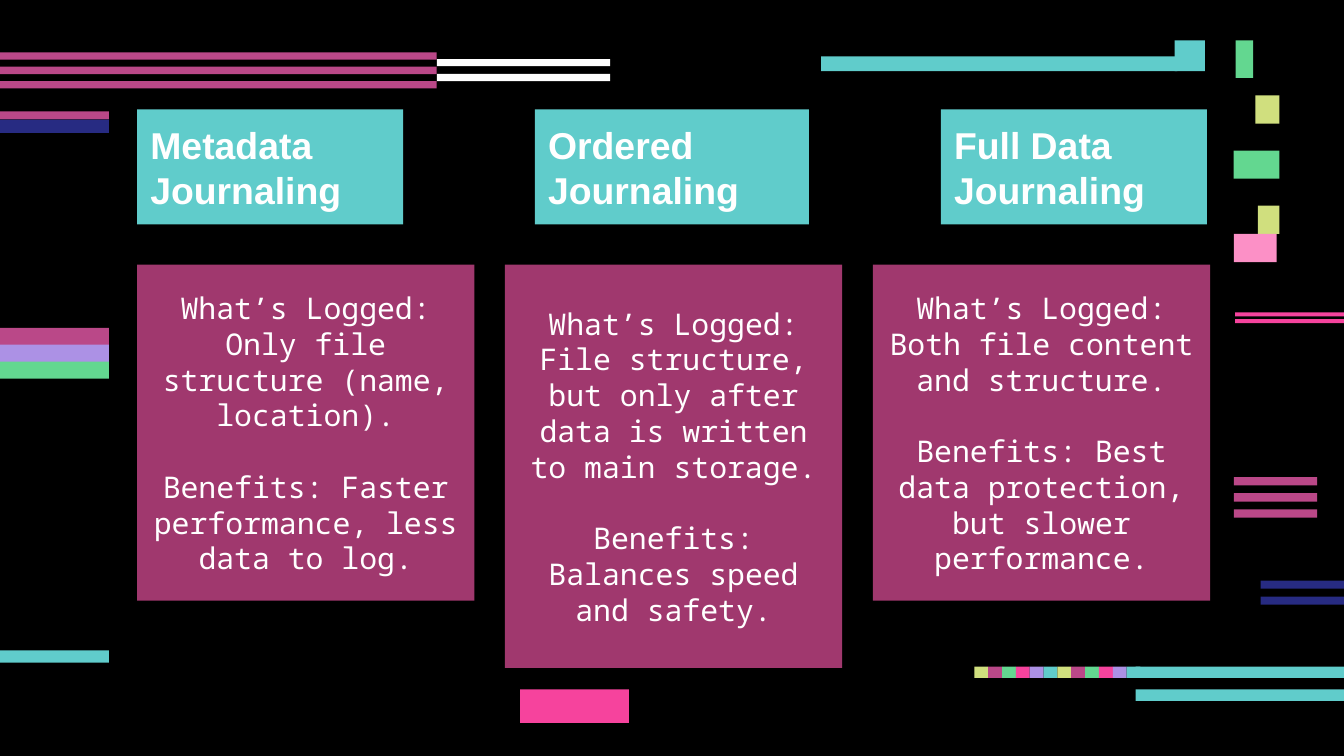
"""Build a slide comparing three journaling modes, framed by coloured bars."""
from dataclasses import dataclass
from typing import Any, NamedTuple

from pptx import Presentation, util as u
from pptx.dml import color
from pptx.enum import shapes, text

COLUMNS, ROWS = 100, 56.25
CELL = u.Inches(0.1)


@dataclass(frozen=True)
class Theme:
    black: str = "000000"
    white: str = "FFFFFF"
    teal: str = "60CCCB"
    plum: str = "BA4888"
    wine: str = "A0386E"
    pink: str = "F6439D"
    rose: str = "FC90C6"
    green: str = "63D790"
    lilac: str = "AC91E5"
    lime: str = "D0DF7E"
    navy: str = "272B82"
    heading_font: str = "Arial"
    body_font: str = "Noto Sans Mono"
    heading_size: int = 20
    body_size: int = 16
    body_gap: int = 19


THEME = Theme()


class Area(NamedTuple):
    column: float
    row: float
    width: float
    height: float


class Bars(NamedTuple):
    area: Area
    colours: tuple[str, ...]
    across: float = 0
    down: float = 0


class Mode(NamedTuple):
    heading: str
    heading_column: float
    heading_width: float
    logged: str
    benefits: str
    body_height: float


class Style(NamedTuple):
    fill: str
    font: dict[str, Any]
    frame: dict[str, Any]
    paragraph: dict[str, Any]


BARS = (
    Bars(Area(0, 3.9, 32.5, 0.55), (THEME.plum,) * 3, down=1.07),
    Bars(Area(32.5, 4.4, 12.9, 0.53), (THEME.white,) * 2, down=1.1),
    Bars(Area(0, 8.3, 8.1, 0.6), (THEME.plum,)),
    Bars(Area(0, 8.9, 8.1, 1), (THEME.navy,)),
    Bars(Area(0, 24.4, 8.1, 1.27), (THEME.plum, THEME.lilac, THEME.green), down=1.25),
    Bars(Area(0, 48.4, 8.1, 0.9), (THEME.teal,)),
    Bars(Area(38.7, 51.3, 8.1, 2.5), (THEME.pink,)),
    Bars(Area(61.1, 4.2, 26.5, 1.1), (THEME.teal,)),
    Bars(Area(87.4, 3, 2.25, 2.3), (THEME.teal,)),
    Bars(Area(91.95, 3, 1.3, 2.8), (THEME.green,)),
    Bars(Area(93.4, 7.1, 1.8, 2.1), (THEME.lime,)),
    Bars(Area(91.8, 11.2, 3.4, 2.1), (THEME.green,)),
    Bars(Area(93.6, 15.3, 1.6, 2.1), (THEME.lime,)),
    Bars(Area(91.8, 17.4, 3.2, 2.1), (THEME.rose,)),
    Bars(Area(91.9, 23.25, 8.1, 0.3), (THEME.pink,) * 2, down=0.5),
    Bars(Area(91.8, 35.5, 6.2, 0.63), (THEME.plum,) * 3, down=1.2),
    Bars(Area(93.8, 43.2, 6.2, 0.6), (THEME.navy,) * 2, down=1.2),
    Bars(Area(84.5, 49.6, 15.5, 0.85), (THEME.teal,) * 2, down=1.7),
    Bars(
        Area(72.5, 49.6, 1.03, 0.85),
        (THEME.lime, THEME.plum, THEME.green, THEME.pink, THEME.lilac, THEME.teal) * 2,
        across=1.03,
    ),
)

MODES = (
    Mode("Metadata Journaling", 10.2, 19.8,
         "What’s Logged: Only file structure (name, location).",
         "Benefits: Faster performance, less data to log.", 25),
    Mode("Ordered Journaling", 39.8, 20.4,
         "What’s Logged: File structure, but only after data is written to main storage.",
         "Benefits: Balances speed and safety.", 30),
    Mode("Full Data Journaling", 70, 19.8,
         "What’s Logged: Both file content and structure.",
         "Benefits: Best data protection, but slower performance.", 25),
)
BODY = Area(10.2, 19.7, 25.1, 25)
BODY_STEP = 27.37

FRAME = {
    "word_wrap": True,
    "vertical_anchor": text.MSO_ANCHOR.MIDDLE,
    "margin_left": CELL,
    "margin_right": CELL,
}
HEADING_STYLE = Style(
    THEME.teal,
    {"name": THEME.heading_font, "size": u.Pt(THEME.heading_size), "bold": True},
    FRAME | {"margin_top": CELL, "margin_bottom": CELL},
    {"alignment": text.PP_ALIGN.LEFT},
)
BODY_STYLE = Style(
    THEME.wine,
    {"name": THEME.body_font, "size": u.Pt(THEME.body_size)},
    FRAME | {"margin_top": CELL // 2, "margin_bottom": CELL // 2},
    {"alignment": text.PP_ALIGN.CENTER},
)


def apply(target: Any, values: dict[str, Any]) -> None:
    """Set each named attribute of the target."""
    for name, value in values.items():
        setattr(target, name, value)


def draw_block(slide: Any, area: Area, fill: str) -> Any:
    """Draw a plain rectangle on the grid."""
    lengths = (round(length * CELL) for length in area)
    shape = slide.shapes.add_shape(shapes.MSO_SHAPE.RECTANGLE, *lengths)
    shape.shadow.inherit = False
    shape.fill.solid()
    shape.fill.fore_color.rgb = color.RGBColor.from_string(fill)
    shape.line.fill.background()
    return shape


def draw_bars(slide: Any, bars: Bars) -> None:
    """Draw a run of equal bars at a constant step."""
    for index, colour in enumerate(bars.colours):
        area = bars.area._replace(
            column=bars.area.column + index * bars.across,
            row=bars.area.row + index * bars.down,
        )
        draw_block(slide, area, colour)


def draw_text(slide: Any, area: Area, lines: tuple[str, ...], style: Style) -> None:
    """Draw a filled block with one paragraph per line."""
    frame = draw_block(slide, area, style.fill).text_frame
    apply(frame, style.frame)
    for index, line in enumerate(lines):
        paragraph = frame.add_paragraph() if index else frame.paragraphs[0]
        apply(paragraph, style.paragraph)
        paragraph.space_before = u.Pt(THEME.body_gap if index else 0)
        run = paragraph.add_run()
        run.text = line
        apply(run.font, style.font)
        run.font.color.rgb = color.RGBColor.from_string(THEME.white)


def main() -> None:
    """Build and save the presentation."""
    presentation = Presentation()
    apply(presentation, {"slide_width": COLUMNS * CELL, "slide_height": round(ROWS * CELL)})
    slide = presentation.slides.add_slide(presentation.slide_layouts[6])
    slide.background.fill.solid()
    slide.background.fill.fore_color.rgb = color.RGBColor.from_string(THEME.black)
    for bars in BARS:
        draw_bars(slide, bars)
    for index, mode in enumerate(MODES):
        heading = Area(mode.heading_column, 8.15, mode.heading_width, 8.55)
        body = BODY._replace(column=BODY.column + index * BODY_STEP, height=mode.body_height)
        draw_text(slide, heading, (mode.heading,), HEADING_STYLE)
        draw_text(slide, body, (mode.logged, mode.benefits), BODY_STYLE)
    presentation.save("out.pptx")


if __name__ == "__main__":
    main()
